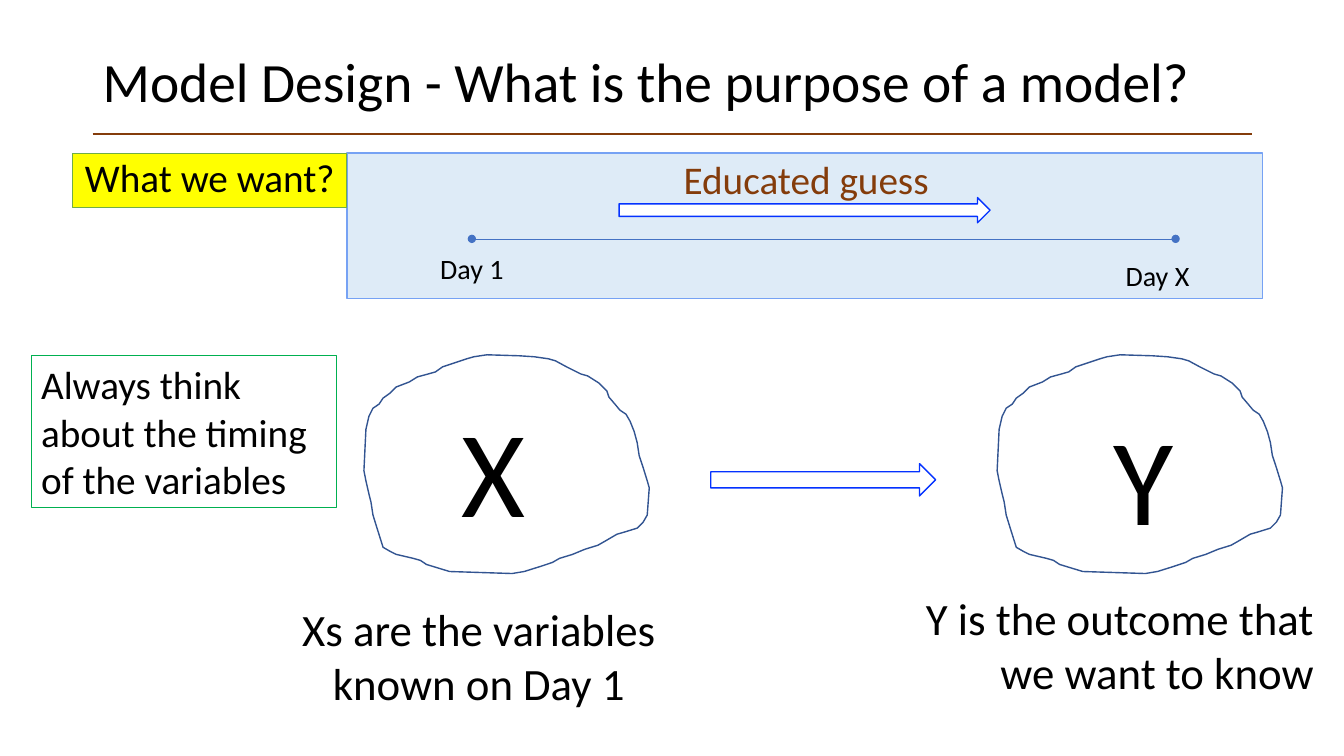
"""Build the slide on what a predictive model is for."""
from lxml.etree import SubElement
from pptx import Presentation
from pptx.dml.color import RGBColor as Rgb
from pptx.enum.shapes import MSO_CONNECTOR as Conn, MSO_SHAPE as Kind
from pptx.enum.text import MSO_ANCHOR as Anchor, PP_ALIGN as Align
from pptx.oxml.ns import qn
from pptx.util import Pt

PX = 9144
THEME = {
    "font": "Calibri",
    "ink": "000000", "brown": "843C0B", "white": "FFFFFF",
    "pale": "DEEBF7", "sky": "76A2F4", "yellow": "FFFF00",
    "leaf": "70AD47", "green": "00B050", "blue": "0432FF",
    "steel": "4472C4", "navy": "325491",
    "title": 39.6, "huge": 88, "large": 32, "body": 28, "small": 20,
}


def tint(name):
    return Rgb.from_string(THEME[name])


def paint(shape, fill, edge, width):
    shape.shadow.inherit = False
    if fill:
        shape.fill.solid()
        shape.fill.fore_color.rgb = tint(fill)
    else:
        shape.fill.background()
    shape.line.color.rgb = tint(edge)
    shape.line.width = Pt(width)


deck = Presentation()
deck.slide_width, deck.slide_height = 1333 * PX, 750 * PX
shapes = deck.slides.add_slide(deck.slide_layouts[6]).shapes

rules = [
    (92, 1242, 133, "brown", 1, False),
    (468, 1166, 237, "steel", 0.5, True),
]
boxes = [
    (Kind.RECTANGLE, 344, 152, 908, 144, "pale", "sky", 1),
    (Kind.RECTANGLE, 72, 152, 272, 54, "yellow", "leaf", 0.75),
    (Kind.RECTANGLE, 31, 353, 303, 151, None, "green", 0.75),
    (Kind.RIGHT_ARROW, 614, 196, 368, 25, "white", "blue", 1),
    (Kind.RIGHT_ARROW, 705, 460, 223, 32, "white", "blue", 1),
]
for kind, x, y, w, h, fill, edge, width in boxes:
    box = shapes.add_shape(kind, x * PX, y * PX, w * PX, h * PX)
    paint(box, fill, edge, width)

for left, right, y, color, width, dots in rules:
    rule = shapes.add_connector(Conn.STRAIGHT, left * PX, y * PX, right * PX, y * PX)
    rule.line.color.rgb = tint(color)
    rule.line.width = Pt(width)
    if dots:
        for end in ("a:headEnd", "a:tailEnd"):
            SubElement(rule.line._get_or_add_ln(), qn(end), type="oval")
    SubElement(rule._element.spPr, qn("a:effectLst"))

cloud = [
    (446, 567), (436, 564), (423, 560), (417, 556), (410, 554), (393, 550),
    (387, 547), (380, 543), (374, 524), (370, 511), (368, 498), (366, 490),
    (363, 477), (361, 467), (363, 426), (366, 413), (370, 405), (376, 401),
    (380, 395), (387, 390), (393, 384), (406, 379), (414, 374), (425, 371),
    (432, 369), (439, 364), (451, 360), (463, 356), (470, 354), (483, 352),
    (515, 353), (530, 354), (544, 356), (551, 358), (562, 364), (576, 371),
    (583, 373), (594, 380), (602, 388), (604, 394), (610, 401), (615, 407),
    (621, 411), (625, 418), (629, 428), (632, 439), (634, 452), (638, 464),
    (642, 477), (644, 484), (642, 511), (638, 518), (632, 524), (619, 528),
    (612, 530), (600, 537), (593, 541), (580, 545), (568, 550), (555, 554),
    (548, 558), (536, 562), (520, 567), (508, 569),
]
for shift in (0, 628):
    dots = [(x + shift, y) for x, y in cloud]
    pen = shapes.build_freeform(*dots[0], scale=PX)
    pen.add_line_segments(dots[1:], close=True)
    paint(pen.convert_to_shape(), None, "navy", 1)

notes = [
    ("Model Design - What is the purpose of a model?", 92, 40, 1150, 87,
     "title", "ink", Align.LEFT, Anchor.MIDDLE, 0.9),
    ("What we want?", 72, 152, 272, 54,
     "body", "ink", Align.CENTER, Anchor.TOP, 0.9),
    ("Day X", 1070, 252, 156, 44, "small", "ink", Align.CENTER, Anchor.TOP, 1),
    ("Day 1", 390, 245, 156, 44, "small", "ink", Align.CENTER, Anchor.TOP, 1),
    ("Educated guess", 639, 149, 321, 57,
     "body", "brown", Align.CENTER, Anchor.TOP, 1),
    ("X", 428, 386, 123, 158, "huge", "ink", Align.CENTER, Anchor.TOP, 1),
    ("Y", 1073, 394, 123, 158, "huge", "ink", Align.CENTER, Anchor.TOP, 1),
    ("Xs are the variables known on Day 1", 277, 592, 396, 118,
     "large", "ink", Align.CENTER, Anchor.TOP, 1),
    ("Y is the outcome that we want to know", 868, 581, 445, 118,
     "large", "ink", Align.RIGHT, Anchor.TOP, 1),
    ("Always think about the timing of the variables", 31, 353, 303, 151,
     "body", "ink", Align.LEFT, Anchor.TOP, 1),
]
for text, x, y, w, h, size, color, align, anchor, lead in notes:
    frame = shapes.add_textbox(x * PX, y * PX, w * PX, h * PX).text_frame
    frame.word_wrap = True
    frame.vertical_anchor = anchor
    frame.text = text
    para = frame.paragraphs[0]
    para.alignment = align
    para.line_spacing = lead
    font = para.runs[0].font
    font.name = THEME["font"]
    font.size = Pt(THEME[size])
    font.color.rgb = tint(color)

deck.save("out.pptx")
